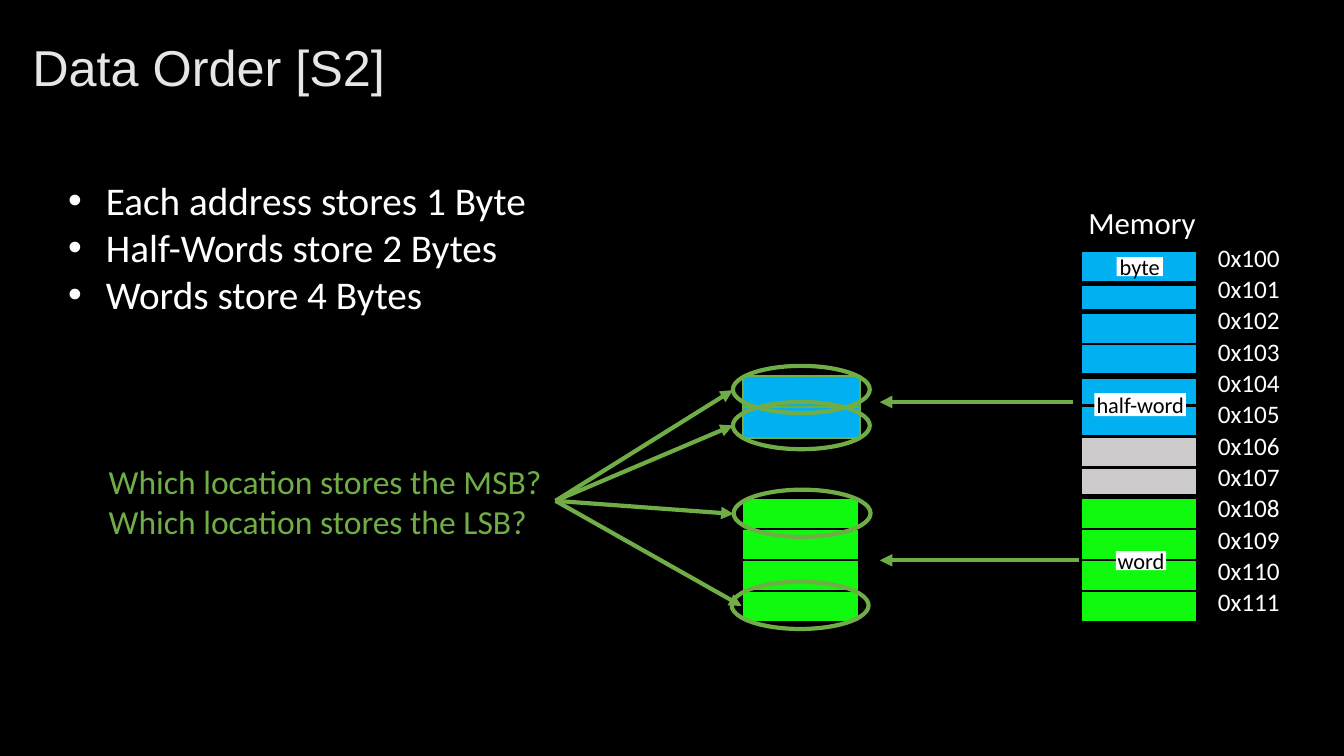
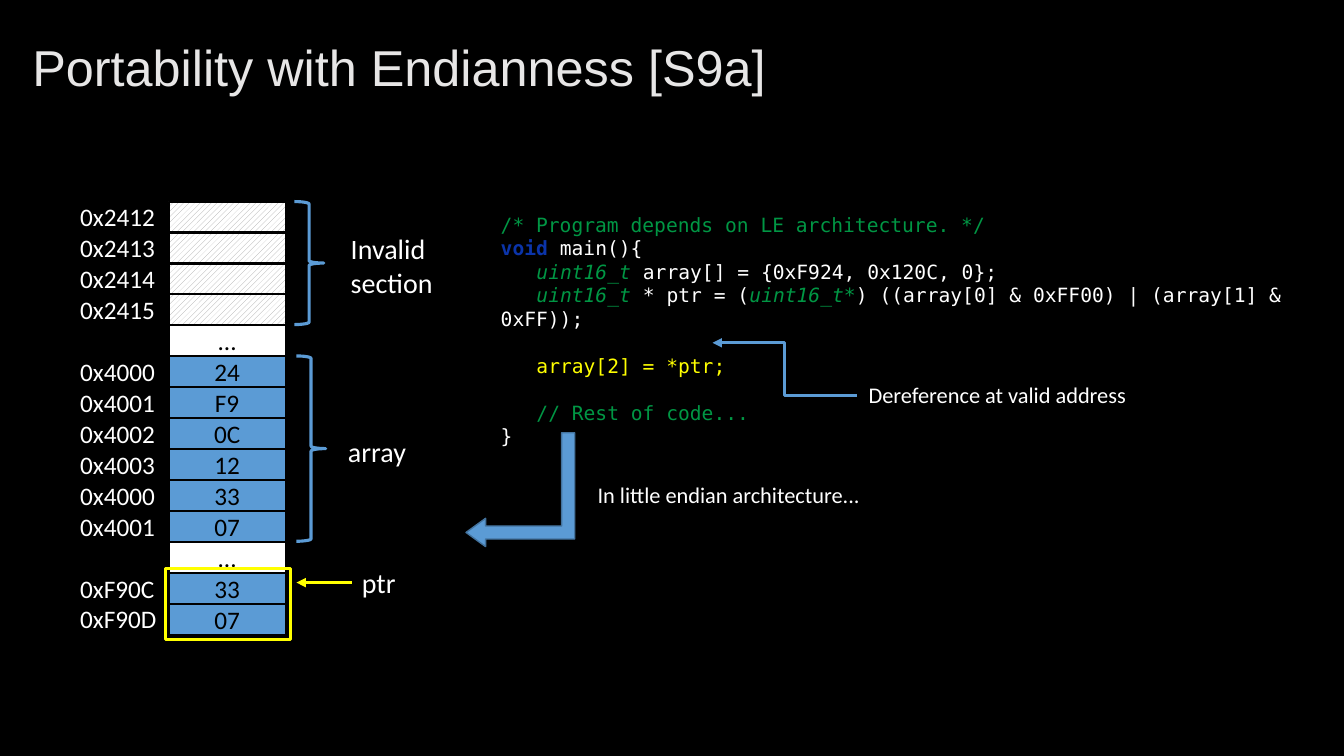
from lxml import etree
from pptx import Presentation, util as u
from pptx.dml.color import RGBColor
from pptx.enum import dml, shapes, text
from pptx.oxml.ns import qn

BLACK, WHITE, GREY, GREEN = "000000", "FFFFFF", "CCCACA", "70AD47"
SKY, LIME, BLUE, YELLOW = "00B0F0", "0FFA0F", "5B9BD5", "FFFF00"
CODE_GREEN, CODE_BLUE = "009644", "0B34A9"
TITLE_STYLE = {"size": u.Pt(36), "name": "Arial"}
CODE_STYLE = {"size": u.Pt(14), "name": "DejaVu Sans Mono"}
CELL_WIDTH, CELL_HEIGHT = 2.95, 0.78
LEFT, CENTER = text.PP_ALIGN.LEFT, text.PP_ALIGN.CENTER
RECTANGLE = shapes.MSO_SHAPE.RECTANGLE


def color(target, value):
    """Give a colour format a hex colour."""
    target.rgb = RGBColor.from_string(value)


def calibri(size):
    """Return the body font at a size in points."""
    return {"size": u.Pt(size), "name": "Calibri"}


def apply(target, values):
    """Set several attributes of an object."""
    for name, value in values.items():
        setattr(target, name, value)


def add_run(paragraph, content, style, value):
    """Append a formatted run."""
    run = paragraph.add_run()
    run.text = content
    apply(run.font, style)
    color(run.font.color, value)


def write(frame, lines, style, value, align=LEFT):
    """Fill a text frame with one paragraph for each line."""
    for index, line in enumerate(lines):
        paragraph = frame.add_paragraph() if index else frame.paragraphs[0]
        paragraph.alignment = align
        add_run(paragraph, line, style, value)


def add_text(slide, box, lines, size, value=WHITE, align=LEFT, wrap=False):
    """Add a text box and return its text frame."""
    frame = slide.shapes.add_textbox(*map(u.Cm, box)).text_frame
    apply(frame, {"word_wrap": wrap,
                  "auto_size": text.MSO_AUTO_SIZE.SHAPE_TO_FIT_TEXT})
    write(frame, lines, calibri(size), value, align)
    return frame


def add_shape(slide, kind, box, fill=None, line=None, width=1.5):
    """Add a preset shape with an optional fill and outline."""
    shape = slide.shapes.add_shape(kind, *map(u.Cm, box))
    shape.shadow.inherit = False
    if fill:
        shape.fill.solid()
        color(shape.fill.fore_color, fill)
    else:
        shape.fill.background()
    if line:
        color(shape.line.color, line)
        shape.line.width = u.Pt(width)
    else:
        shape.line.fill.background()
    return shape


def add_labelled(slide, box, label, size, fill, line=None):
    """Add a rectangle with centred black text."""
    shape = add_shape(slide, RECTANGLE, box, fill, line)
    apply(shape.text_frame, {
        "word_wrap": False, "vertical_anchor": text.MSO_ANCHOR.MIDDLE,
        "margin_top": 0, "margin_bottom": 0, "margin_left": 0, "margin_right": 0})
    write(shape.text_frame, [label], calibri(size), BLACK, CENTER)


def add_cells(slide, left, top, fills, line=BLACK):
    """Stack memory cells, one for each fill, and return them."""
    return [add_shape(slide, RECTANGLE,
                      (left, top + index * CELL_HEIGHT, CELL_WIDTH, CELL_HEIGHT),
                      fill, line)
            for index, fill in enumerate(fills)]


def add_arrow(slide, start, end, value, width, kind=shapes.MSO_CONNECTOR.STRAIGHT):
    """Add a connector with a triangle at its end."""
    connector = slide.shapes.add_connector(kind, *map(u.Cm, (*start, *end)))
    color(connector.line.color, value)
    connector.line.width = u.Pt(width)
    properties = connector.element.spPr
    etree.SubElement(properties.find(qn("a:ln")), qn("a:tailEnd"), type="triangle")
    etree.SubElement(properties, qn("a:effectLst"))


def add_bullets(frame, indent):
    """Give every paragraph a hanging round bullet."""
    for paragraph in frame.paragraphs:
        properties = paragraph._p.get_or_add_pPr()
        properties.set("marL", str(int(indent)))
        properties.set("indent", str(-int(indent)))
        etree.SubElement(properties, qn("a:buFont"), typeface="Arial")
        etree.SubElement(properties, qn("a:buChar"), char="•")


def add_slide(presentation, title):
    """Add a title-only slide with the shared title style."""
    slide = presentation.slides.add_slide(presentation.slide_layouts[5])
    shape = slide.shapes.title
    apply(shape, {"left": u.Cm(0.56), "top": u.Cm(0.53),
                  "width": u.Cm(32.74), "height": u.Cm(2.46)})
    apply(shape.text_frame, {"vertical_anchor": text.MSO_ANCHOR.MIDDLE,
                             "auto_size": text.MSO_AUTO_SIZE.NONE,
                             "word_wrap": True})
    write(shape.text_frame, [title], TITLE_STYLE, "E7E6E6")
    shape.text_frame.paragraphs[0].line_spacing = 0.9
    return slide


def add_code(slide):
    """Add the program listing with coloured syntax."""
    integer = ("uint16_t", CODE_GREEN, {"italic": True})
    lines = [
        (0, 0, [("/* Program depends on LE architecture. */", CODE_GREEN, {})]),
        (0, 0, [("void", CODE_BLUE, {"bold": True}), (" main(){", WHITE, {})]),
        (0.9, 0, [integer, (" array[] = {0xF924, 0x120C, 0};", WHITE, {})]),
        (0.9, 0, [integer, (" * ptr = (", WHITE, {}),
                  ("uint16_t*", CODE_GREEN, {"italic": True}),
                  (") ((array[0] & 0xFF00) | (array[1] & 0xFF));", WHITE, {})]),
        (0.9, 16.8, [("array[2] = *ptr;", YELLOW, {})]),
        (0.9, 16.8, [("// Rest of code...", CODE_GREEN, {})]),
        (0, 0, [("}", WHITE, {})]),
    ]
    frame = add_text(slide, (12.37, 5.23, 20.8, 5.64), [], 14, wrap=True)
    for index, (indent, space, runs) in enumerate(lines):
        paragraph = frame.add_paragraph() if index else frame.paragraphs[0]
        paragraph.space_before = u.Pt(space)
        paragraph._p.get_or_add_pPr().set("indent", str(int(u.Cm(indent))))
        for content, value, extra in runs:
            add_run(paragraph, content, {**CODE_STYLE, **extra}, value)


def build_data_order(presentation):
    """Build the slide on bytes, half-words and words."""
    slide = add_slide(presentation, "Data Order [S2]")
    bullets = add_text(slide, (1.47, 4.32, 15.72, 4.88),
                       ["Each address stores 1 Byte", "Half-Words store 2 Bytes",
                        "Words store 4 Bytes"], 28, wrap=True)
    add_bullets(bullets, u.Cm(0.95))
    add_text(slide, (2.49, 11.48, 11.53, 2.31),
             ["Which location stores the MSB?", "Which location stores the LSB?"],
             24, GREEN)

    memory_left, memory_top = 27.23, 6.32
    add_cells(slide, memory_left, memory_top, [SKY] * 6 + [GREY] * 2 + [LIME] * 4)
    add_text(slide, (27.18, 5, 3.25, 1.19), ["Memory"], 22)
    for first, count in ((8, 4), (0, 1), (2, 2)):
        add_shape(slide, RECTANGLE,
                  (memory_left - 0.05, memory_top + first * CELL_HEIGHT - 0.05,
                   CELL_WIDTH + 0.1, count * CELL_HEIGHT + 0.1), None, BLACK, 3)
    for label, left, top, width, height in (("word", 28.12, 13.89, 1.27, 0.48),
                                            ("half-word", 27.58, 9.91, 2.31, 0.58),
                                            ("byte", 28.14, 6.48, 1.17, 0.48)):
        add_labelled(slide, (left, top, width, height), label, 16, WHITE)
    for index in range(12):
        add_text(slide, (30.44, 5.97 + index * 0.79, 2.2, 1.02),
                 [f"0x{100 + index}"], 18)

    add_cells(slide, 18.69, 12.55, [LIME] * 4)
    add_cells(slide, 18.72, 9.47, [SKY] * 2, GREEN)
    for start, height in ((27.05, 10.13), (27.18, 14.12)):
        add_arrow(slide, (start, height), (22.17, height), GREEN, 3)
    for left, top in ((18.47, 9.22), (18.47, 10.13), (18.49, 12.34), (18.44, 14.66)):
        add_shape(slide, shapes.MSO_SHAPE.OVAL, (left, top, 3.45, 1.19), None, GREEN, 3)
    for end in ((18.47, 9.83), (18.47, 10.72), (18.49, 12.95), (18.69, 15.27)):
        add_arrow(slide, (14, 12.62), end, GREEN, 3)


def build_portability(presentation):
    """Build the slide on code that depends on byte order."""
    slide = add_slide(presentation, "Portability with Endianness [S9a]")
    memory_left, memory_top = 4.25, 5.08
    invalid = add_cells(slide, memory_left, memory_top, [WHITE] * 4)
    for shape in invalid:
        shape.fill.patterned()
        shape.fill.pattern = dml.MSO_PATTERN.WIDE_UPWARD_DIAGONAL
        color(shape.fill.fore_color, "A6A6A6")
        color(shape.fill.back_color, WHITE)
    values = ["...", "24", "F9", "0C", "12", "33", "07", "...", "33", "07"]
    for row, value in enumerate(values, len(invalid)):
        add_labelled(slide, (memory_left, memory_top + row * CELL_HEIGHT,
                             CELL_WIDTH, CELL_HEIGHT), value, 18,
                     WHITE if value == "..." else BLUE, BLACK)
    addresses = ["0x2412", "0x2413", "0x2414", "0x2415", None, "0x4000", "0x4001",
                 "0x4002", "0x4003", "0x4000", "0x4001", None, "0xF90C", "0xF90D"]
    for row, address in enumerate(addresses):
        if address:
            add_text(slide, (1.77, memory_top + row * CELL_HEIGHT - 0.13, 2.6, 1.02),
                     [address], 18)

    for box in ((7.42, 5.08, 0.74, 3.1), (7.47, 8.97, 0.74, 4.67)):
        add_shape(slide, shapes.MSO_SHAPE.RIGHT_BRACE, box, None, BLUE, 2.25)
    add_text(slide, (8.59, 5.72, 2.62, 1.96), ["Invalid", "section"], 20)
    for label, box in (("array", (8.51, 10.82, 1.98, 1.12)),
                       ("ptr", (8.86, 14.12, 1.37, 1.12))):
        add_text(slide, box, [label], 20, align=CENTER)
    add_shape(slide, RECTANGLE, (4.17, 14.33, 3.15, 1.78), None, YELLOW, 2.25)
    add_arrow(slide, (8.86, 14.68), (7.47, 14.68), YELLOW, 2.25)

    arrow = add_shape(slide, shapes.MSO_SHAPE.BENT_UP_ARROW,
                      (11.68, 10.97, 2.87, 2.74), BLUE, "43739E", 1)
    arrow.rotation = 90
    arrow.element.spPr.find(qn("a:xfrm")).set("flipV", "1")
    for index, adjustment in enumerate((0.12, 0.13, 0.18)):
        arrow.adjustments[index] = adjustment
    for label, box in (
            ("In little endian architecture...", (14.76, 12.01, 7.21, 0.94)),
            ("Dereference at valid address", (21.59, 9.47, 7.09, 0.94))):
        add_text(slide, box, [label], 16, align=CENTER)
    add_arrow(slide, (21.59, 9.96), (17.96, 8.64), BLUE, 2.25,
              shapes.MSO_CONNECTOR.ELBOW)
    add_code(slide)


def main():
    """Build and save the presentation."""
    presentation = Presentation()
    apply(presentation, {"slide_width": u.Cm(33.87), "slide_height": u.Cm(19.05)})
    background = presentation.slide_master.background.fill
    background.solid()
    color(background.fore_color, BLACK)
    build_data_order(presentation)
    build_portability(presentation)
    presentation.save("out.pptx")


if __name__ == "__main__":
    main()
